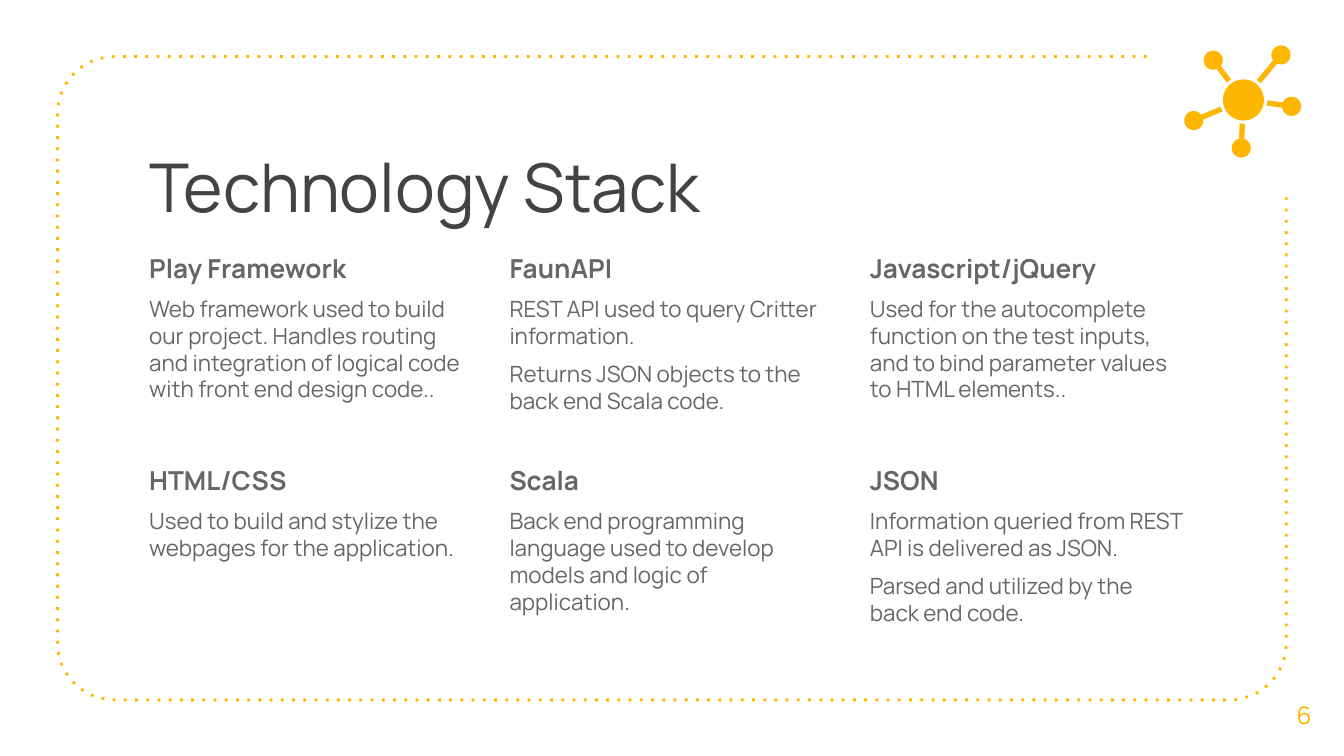
from dataclasses import dataclass
from math import asin, atan2, cos, pi, sin

from lxml import etree
from pptx import Presentation
from pptx.dml.color import RGBColor
from pptx.enum.shapes import MSO_SHAPE
from pptx.enum.text import MSO_ANCHOR, MSO_AUTO_SIZE, PP_ALIGN
from pptx.oxml.ns import qn
from pptx.util import Cm, Pt

OVAL = MSO_SHAPE.OVAL
LEFT, CENTER = PP_ALIGN.LEFT, PP_ALIGN.CENTER
TOP, MIDDLE = MSO_ANCHOR.TOP, MSO_ANCHOR.MIDDLE
NO_AUTOFIT = MSO_AUTO_SIZE.NONE


@dataclass(frozen=True)
class Theme:
    font: str = "Manrope"
    accent: RGBColor = RGBColor(0xFF, 0xB6, 0x00)
    title: RGBColor = RGBColor(0x43, 0x43, 0x43)
    text: RGBColor = RGBColor(0x66, 0x66, 0x66)
    title_size: int = 36
    heading_size: int = 14
    text_size: int = 12
    number_size: int = 13


THEME = Theme()

TECHNOLOGIES = [
    ("Play Framework", [
        "Web framework used to build our project. Handles routing and "
        "integration of logical code with front end design code.."]),
    ("FaunAPI", [
        "REST API used to query Critter information.",
        "Returns JSON objects to the back end Scala code."]),
    ("Javascript/jQuery", [
        "Used for the autocomplete function on the test inputs, and to bind "
        "parameter values to HTML elements.."]),
    ("HTML/CSS", [
        "Used to build and stylize the webpages for the application."]),
    ("Scala", [
        "Back end programming language used to develop models and logic of "
        "application."]),
    ("JSON", [
        "Information queried from REST API is delivered as JSON.",
        "Parsed and utilized by the back end code."]),
]
COLUMNS = 3

HUB = (23.5, 1.89)
HUB_RADIUS = 0.39
SPOKE_START = 0.45
SPOKE_HALF_WIDTH = 0.05
NODE_RADIUS = 0.18
NODES = [(24.21, 1.04), (22.93, 1.14), (22.56, 2.28), (23.46, 2.8), (24.41, 2.01)]


def arc(center, radius, start, end, steps):
    angles = [start + (end - start) * i / steps for i in range(steps + 1)]
    return [(center[0] + radius * cos(a), center[1] + radius * sin(a)) for a in angles]


def add_outline(slide, points, close):
    start, *rest = [(Cm(x), Cm(y)) for x, y in points]
    builder = slide.shapes.build_freeform(*start)
    builder.add_line_segments(rest, close=close)
    outline = builder.convert_to_shape()
    outline.shadow.inherit = False
    return outline


def paint(shape):
    shape.shadow.inherit = False
    shape.fill.solid()
    shape.fill.fore_color.rgb = THEME.accent
    shape.line.fill.background()


def add_frame(slide):
    left, top, right, bottom, radius = 1.09, 1.07, 24.31, 13.23, 1.07
    points = [(21.67, top)]
    points += arc((left + radius, top + radius), radius, -pi / 2, -pi, 12)
    points += arc((left + radius, bottom - radius), radius, pi, pi / 2, 12)
    points += arc((right - radius, bottom - radius), radius, pi / 2, 0, 12)
    points.append((right, 3.71))
    frame = add_outline(slide, points, close=False)
    frame.fill.background()
    frame.line.color.rgb = THEME.accent
    frame.line.width = Pt(1.5)
    line = frame.element.spPr.find(qn("a:ln"))
    etree.SubElement(line, qn("a:prstDash")).set("val", "dot")


def add_node(slide, center):
    toward_hub = atan2(HUB[1] - center[1], HUB[0] - center[0])
    opening = asin(SPOKE_HALF_WIDTH / NODE_RADIUS)
    points = arc(center, NODE_RADIUS, toward_hub + opening,
                 toward_hub + 2 * pi - opening, 36)
    for side in (-1, 1):
        points.append((
            HUB[0] - SPOKE_START * cos(toward_hub) - side * SPOKE_HALF_WIDTH * sin(toward_hub),
            HUB[1] - SPOKE_START * sin(toward_hub) + side * SPOKE_HALF_WIDTH * cos(toward_hub)))
    paint(add_outline(slide, points, close=True))


def add_network(slide):
    for center in NODES:
        add_node(slide, center)
    corner = [Cm(value - HUB_RADIUS) for value in HUB]
    paint(slide.shapes.add_shape(OVAL, *corner, Cm(2 * HUB_RADIUS), Cm(2 * HUB_RADIUS)))


def place(shape, left, top, width, height):
    shape.left, shape.top = Cm(left), Cm(top)
    shape.width, shape.height = Cm(width), Cm(height)


def prepare(frame, anchor):
    frame.word_wrap = True
    frame.auto_size = NO_AUTOFIT
    frame.vertical_anchor = anchor
    frame.margin_left = frame.margin_right = Cm(0.25)
    frame.margin_top = frame.margin_bottom = Cm(0.25)


def write(paragraph, text, size, color, align=LEFT, bold=False):
    paragraph.alignment = align
    run = paragraph.add_run()
    run.text = text
    run.font.name = THEME.font
    run.font.size = Pt(size)
    run.font.bold = bold
    run.font.color.rgb = color


def fill_title(title):
    place(title, 2.57, 2.49, 19.08, 2.39)
    prepare(title.text_frame, TOP)
    write(title.text_frame.paragraphs[0], "Technology Stack", THEME.title_size, THEME.title)


def fill_technology(block, position, heading, details):
    row, column = divmod(position, COLUMNS)
    place(block, 2.57 + 6.81 * column, 4.52 + 4.01 * row, 6.48, 4.11)
    frame = block.text_frame
    prepare(frame, TOP)
    write(frame.paragraphs[0], heading, THEME.heading_size, THEME.text, bold=True)
    for detail in details:
        write(frame.add_paragraph(), detail, THEME.text_size, THEME.text)
    for paragraph in frame.paragraphs:
        paragraph.space_before = Pt(6)
        properties = paragraph._p.get_or_add_pPr()
        properties.set("marL", "0")
        properties.set("indent", "0")
        etree.SubElement(properties, qn("a:buNone"))


def add_slide_number(slide):
    number = slide.shapes.add_textbox(Cm(23.9), Cm(12.75), Cm(1.5), Cm(1.52))
    prepare(number.text_frame, MIDDLE)
    write(number.text_frame.paragraphs[0], "6", THEME.number_size, THEME.accent, CENTER)


def main():
    presentation = Presentation()
    presentation.slide_width, presentation.slide_height = Cm(25.4), Cm(14.29)
    layout = presentation.slide_layouts[1]
    slide = presentation.slides.add_slide(layout)
    for _ in TECHNOLOGIES[1:]:
        slide.shapes.clone_placeholder(layout.placeholders[1])
    title, *blocks = slide.placeholders

    add_frame(slide)
    fill_title(title)
    for position, (block, technology) in enumerate(zip(blocks, TECHNOLOGIES)):
        fill_technology(block, position, *technology)
    add_slide_number(slide)
    add_network(slide)
    presentation.save("out.pptx")


if __name__ == "__main__":
    main()
